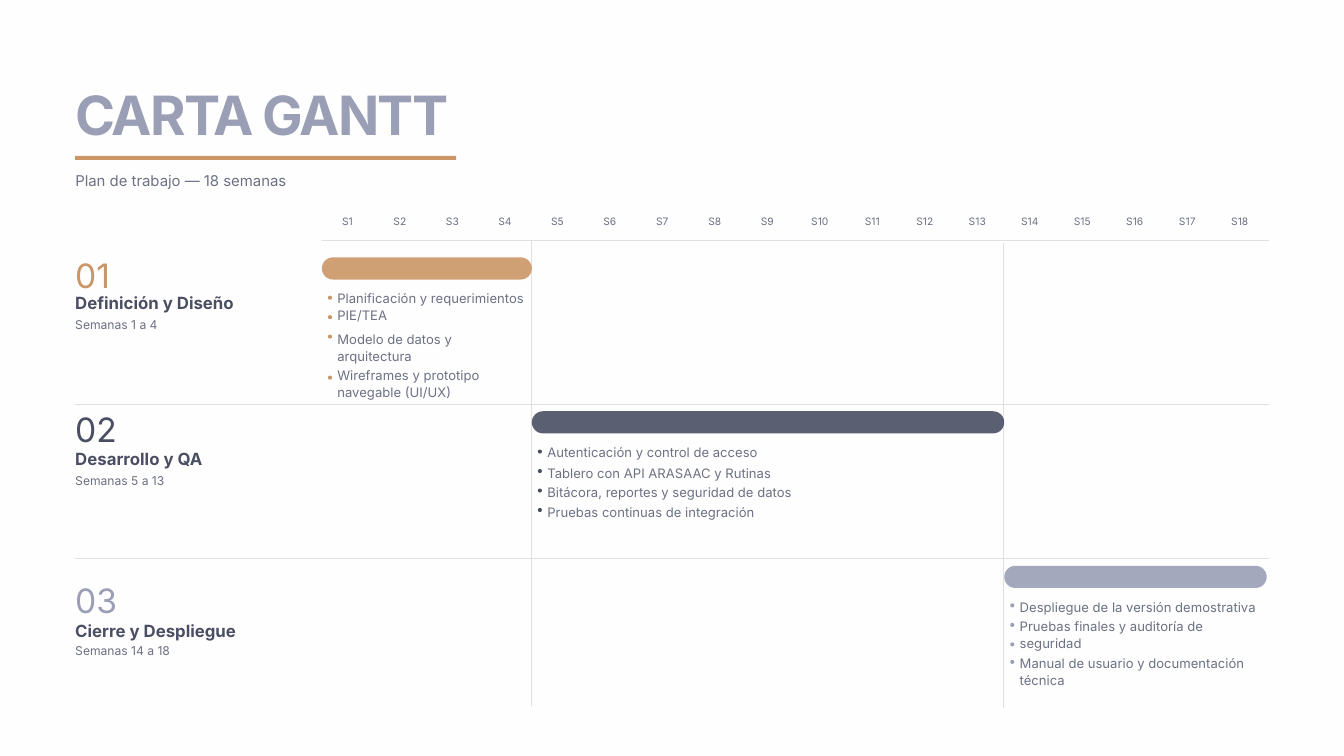
from dataclasses import dataclass

from lxml.etree import SubElement
from pptx import Presentation
from pptx.dml.color import RGBColor
from pptx.enum.shapes import MSO_CONNECTOR as Connector, MSO_SHAPE as Shape
from pptx.enum.text import MSO_ANCHOR as Anchor, MSO_AUTO_SIZE as AutoSize, PP_ALIGN as Align
from pptx.oxml.ns import qn
from pptx.util import Inches, Pt

PAPER = RGBColor(0xFF, 0xFE, 0xFE)
LAVENDER = RGBColor(0x9A, 0x9F, 0xB6)
COPPER = RGBColor(0xCB, 0x96, 0x67)
INK = RGBColor(0x4A, 0x4E, 0x63)
GREY = RGBColor(0x6C, 0x71, 0x84)
RULE = RGBColor(0xE0, 0xE0, 0xE0)

FONT = "Inter"
SLIDE_W, SLIDE_H = 20, 11.25
MARGIN = 1.12
RIGHT = SLIDE_W - MARGIN
WEEKS = 18
GRID_LEFT, GRID_TOP = 4.79, 3.58
WEEK_W = 14.06 / WEEKS
BAR_H = 0.33
DOT = 0.06
LINE_H = 0.25


@dataclass
class Phase:
    number: str
    name: str
    color: RGBColor
    first: int
    last: int
    bar_top: float
    label_tops: tuple
    tasks: list
    dot_offsets: tuple


PHASES = [
    Phase("01", "Definición y Diseño", COPPER, 1, 4, 3.83, (3.9, 4.33, 4.7),
          [("Planificación y requerimientos PIE/TEA", 0.48, 2),
           ("Modelo de datos y arquitectura", 1.08, 2),
           ("Wireframes y prototipo navegable (UI/UX)", 1.62, 2)],
          (0.57, 0.86, 1.15, 1.76)),
    Phase("02", "Desarrollo y QA", INK, 5, 13, 6.12, (6.19, 6.65, 7.02),
          [("Autenticación y control de acceso", 0.48, 1),
           ("Tablero con API ARASAAC y Rutinas", 0.78, 1),
           ("Bitácora, reportes y seguridad de datos", 1.07, 1),
           ("Pruebas continuas de integración", 1.36, 1)],
          (0.57, 0.86, 1.15, 1.44)),
    Phase("03", "Cierre y Despliegue", LAVENDER, 14, 18, 8.42, (8.73, 9.21, 9.56),
          [("Despliegue de la versión demostrativa", 0.48, 1),
           ("Pruebas finales y auditoría de seguridad", 0.77, 2),
           ("Manual de usuario y documentación técnica", 1.31, 2)],
          (0.56, 0.85, 1.14, 1.4)),
]


def week_x(week):
    return GRID_LEFT + (week - 1) * WEEK_W


def add_text(slide, text, left, top, width, height, *, size, color=GREY, leading=1.3,
             bold=False, align=Align.LEFT, spacing=None, holder=None):
    area = [Inches(v) for v in (left, top, width, height)]
    if holder is None:
        holder = slide.shapes.add_textbox(*area)
    else:
        holder.left, holder.top, holder.width, holder.height = area
    frame = holder.text_frame
    frame.margin_left = frame.margin_top = frame.margin_right = frame.margin_bottom = 0
    frame.word_wrap = True
    frame.auto_size = AutoSize.NONE
    frame.vertical_anchor = Anchor.TOP
    paragraph = frame.paragraphs[0]
    paragraph.alignment = align
    paragraph.line_spacing = Pt(size * leading)
    run = paragraph.add_run()
    run.text = text
    run.font.name = FONT
    run.font.size = Pt(size)
    run.font.bold = bold
    run.font.color.rgb = color
    if spacing is not None:
        run.font._element.set("spc", str(spacing * 100))


def add_block(slide, kind, left, top, width, height, color, opacity=None):
    block = slide.shapes.add_shape(kind, *[Inches(v) for v in (left, top, width, height)])
    block.shadow.inherit = False
    block.fill.solid()
    block.fill.fore_color.rgb = color
    block.line.fill.background()
    if opacity is not None:
        tint = block._element.spPr.find(qn("a:solidFill"))[0]
        SubElement(tint, qn("a:alpha")).set("val", str(opacity * 1000))
    return block


def add_rule(slide, x1, y1, x2, y2):
    rule = slide.shapes.add_connector(
        Connector.STRAIGHT, *[Inches(v) for v in (x1, y1, x2, y2)])
    rule.line.color.rgb = RULE
    rule.line.width = Pt(0.75)
    SubElement(rule._element.spPr, qn("a:effectLst"))


def add_header(slide):
    add_text(slide, "CARTA GANTT", MARGIN, 1.31, 9.38, 0.91, size=58, color=LAVENDER,
             leading=1.08, bold=True, spacing=-2, holder=slide.shapes.title)
    add_block(slide, Shape.RECTANGLE, MARGIN, 2.32, 5.67, 0.06, COPPER)
    add_text(slide, "Plan de trabajo — 18 semanas", MARGIN, 2.51, 5.21, 0.3,
             size=16, leading=1.4)


def add_calendar(slide):
    for week in range(1, WEEKS + 1):
        add_text(slide, f"S{week}", week_x(week) - 0.01, 3.24, WEEK_W, 0.17,
                 size=11, leading=1, align=Align.CENTER)
    add_rule(slide, GRID_LEFT, GRID_TOP, RIGHT, GRID_TOP)
    for y in (6.02, 8.31):
        add_rule(slide, MARGIN, y, RIGHT, y)
    for x, top in ((week_x(5), GRID_TOP), (14.93, GRID_TOP + 0.03)):
        add_rule(slide, x, top, x, top + 6.92)


def add_phase(slide, phase):
    number_top, name_top, weeks_top = phase.label_tops
    add_text(slide, phase.number, MARGIN, number_top, 0.87, 0.54,
             size=36, color=phase.color, leading=1)
    add_text(slide, phase.name, MARGIN, name_top, 3.46, 0.32, size=18, color=INK, bold=True)
    add_text(slide, f"Semanas {phase.first} a {phase.last}", MARGIN, weeks_top, 3.46, 0.22,
             size=13)

    left = week_x(phase.first)
    width = week_x(phase.last + 1) - left
    bar = add_block(slide, Shape.ROUNDED_RECTANGLE, left, phase.bar_top, width, BAR_H,
                    phase.color, opacity=90)
    bar.adjustments[0] = 0.5
    for offset in phase.dot_offsets:
        add_block(slide, Shape.OVAL, left + 0.09, phase.bar_top + offset, DOT, DOT, phase.color)
    for task, offset, lines in phase.tasks:
        add_text(slide, task, left + 0.23, phase.bar_top + offset, width - 0.31,
                 lines * LINE_H, size=14)


def main():
    deck = Presentation()
    deck.slide_width, deck.slide_height = Inches(SLIDE_W), Inches(SLIDE_H)
    slide = deck.slides.add_slide(deck.slide_layouts[5])
    slide.background.fill.solid()
    slide.background.fill.fore_color.rgb = PAPER
    add_header(slide)
    add_calendar(slide)
    for phase in PHASES:
        add_phase(slide, phase)
    deck.save("out.pptx")


if __name__ == "__main__":
    main()
